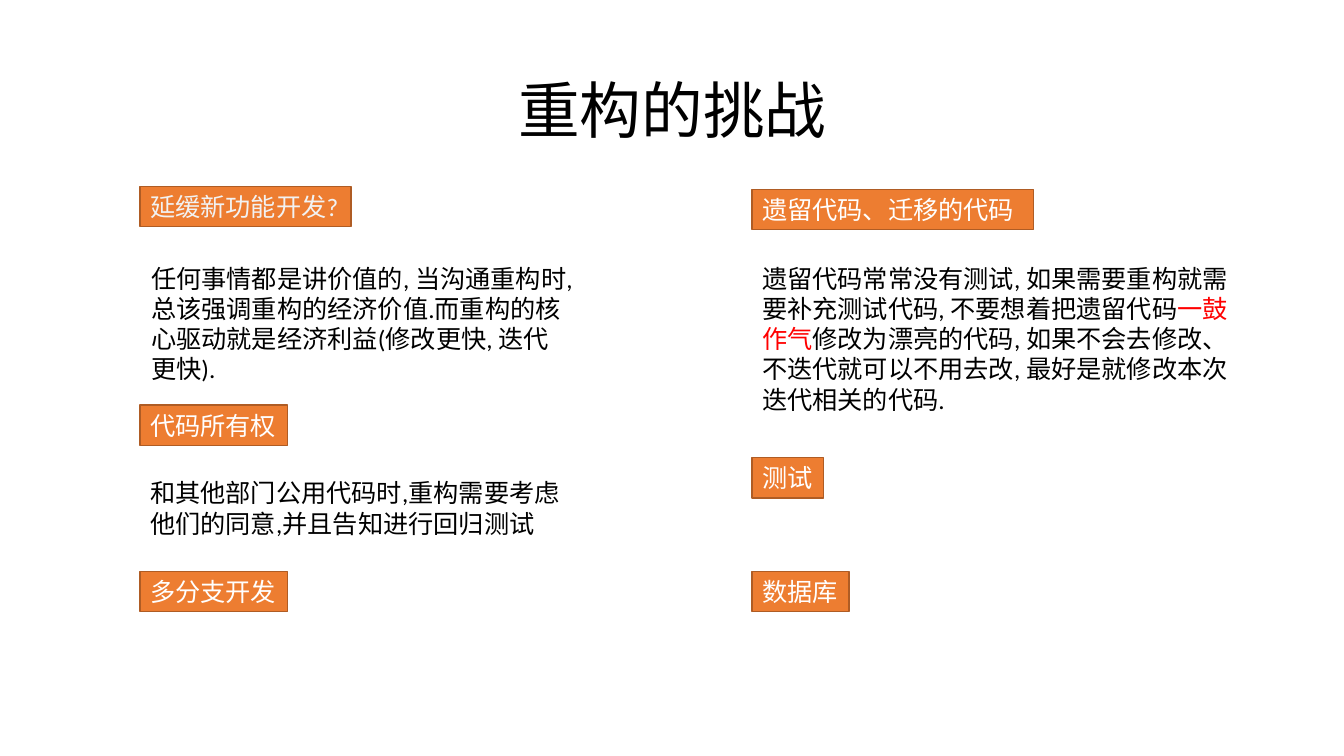
"""Build the slide on the challenges of refactoring."""
from pptx import Presentation
from pptx.dml.color import RGBColor
from pptx.enum.shapes import MSO_SHAPE
from pptx.enum.text import MSO_ANCHOR, MSO_AUTO_SIZE, PP_ALIGN
from pptx.util import Inches, Pt

COLORS = {"orange": "ED7D31", "border": "AF5C24", "white": "FFFFFF",
          "pale": "F2F2F2", "black": "000000", "red": "FF0000"}
LEFT, RIGHT = 1.39, 7.46


def rgb(name):
    return RGBColor.from_string(COLORS[name])


def write(sp, runs, size=18, wrap=True, align=PP_ALIGN.LEFT, anchor=MSO_ANCHOR.TOP):
    tf = sp.text_frame
    tf.word_wrap = wrap
    tf.vertical_anchor = anchor
    p = tf.paragraphs[0]
    p.alignment = align
    for text, color in runs:
        r = p.add_run()
        r.text = text
        r.font.size = Pt(size)
        r.font.name = "Calibri"
        r.font.color.rgb = rgb(color)
    return tf


prs = Presentation()
prs.slide_width, prs.slide_height = Inches(13.33), Inches(7.5)
s = prs.slides.add_slide(prs.slide_layouts[6])

title = s.shapes.add_textbox(Inches(0.92), Inches(0.4), Inches(11.5), Inches(1.45))
tf = write(title, [("重构的挑战", "black")], 44, align=PP_ALIGN.CENTER, anchor=MSO_ANCHOR.MIDDLE)
tf.paragraphs[0].line_spacing = 0.9

headings = [
    (LEFT, 1.85, 2.09, "延缓新功能开发?", "pale", False),
    (LEFT, 4.02, 1.46, "代码所有权", "white", False),
    (LEFT, 5.67, 1.46, "多分支开发", "white", False),
    (RIGHT, 1.88, 2.79, "遗留代码、迁移的代码", "white", True),
    (RIGHT, 4.54, 0.71, "测试", "white", False),
    (RIGHT, 5.67, 0.96, "数据库", "white", False),
]
for x, y, w, text, color, wrap in headings:
    sp = s.shapes.add_shape(MSO_SHAPE.RECTANGLE, Inches(x), Inches(y), Inches(w), Inches(0.4))
    sp.shadow.inherit = False
    sp.fill.solid()
    sp.fill.fore_color.rgb = rgb("orange")
    sp.line.color.rgb = rgb("border")
    sp.line.width = Pt(1)
    tf = write(sp, [(text, color)], wrap=wrap)
    tf.auto_size = MSO_AUTO_SIZE.SHAPE_TO_FIT_TEXT

bodies = [
    (1.4, 2.56, 4.35, 1.31, [
        ("任何事情都是讲价值的, 当沟通重构时,总该强调重构的经济价值."
         "而重构的核心驱动就是经济利益(修改更快, 迭代更快).", "black")]),
    (LEFT, 4.69, 4.35, 0.71, [
        ("和其他部门公用代码时,重构需要考虑他们的同意,并且告知进行回归测试", "black")]),
    (RIGHT, 2.56, 4.96, 1.62, [
        ("遗留代码常常没有测试, 如果需要重构就需要补充测试代码, 不要想着把遗留代码", "black"),
        ("一鼓作气", "red"),
        ("修改为漂亮的代码, 如果不会去修改、不迭代就可以不用去改, "
         "最好是就修改本次迭代相关的代码.", "black")]),
]
for x, y, w, h, runs in bodies:
    sp = s.shapes.add_textbox(Inches(x), Inches(y), Inches(w), Inches(h))
    tf = write(sp, runs)
    tf.auto_size = MSO_AUTO_SIZE.SHAPE_TO_FIT_TEXT

prs.save("out.pptx")
